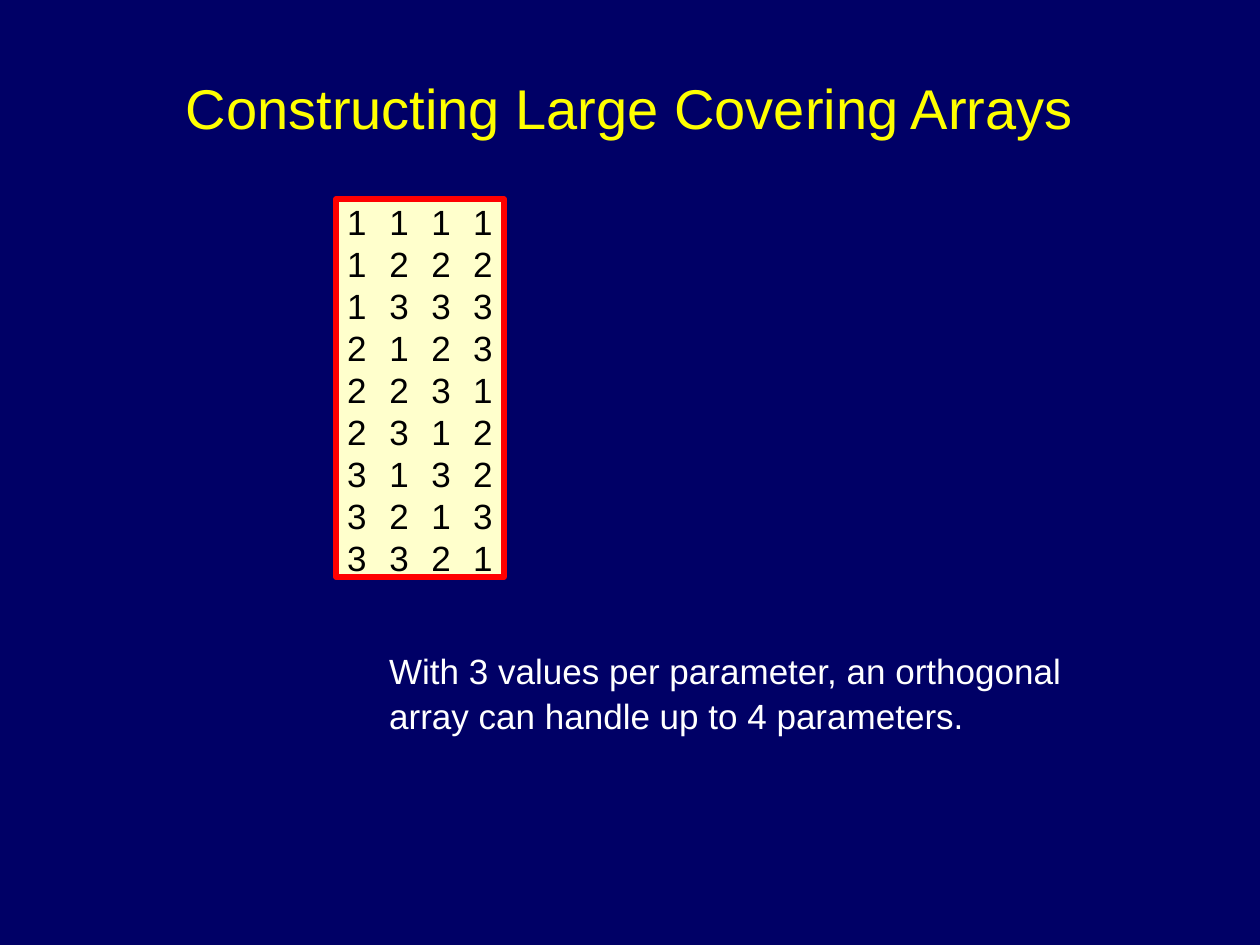
from pptx import Presentation
from pptx.dml.color import RGBColor
from pptx.enum import shapes, text
from pptx.util import Inches, Pt

ROWS = ["1111", "1222", "1333", "2123", "2231", "2312", "3132", "3213", "3321"]
CELL = Inches(1) // 3
LEFT, TOP = CELL * 8, Inches(1.58)


def rgb(value):
    """Turn a hex string into a colour."""
    return RGBColor.from_string(value)


def write(sp, lines, size, color, align, anchor, wrap=False):
    """Write lines of text into a shape."""
    tf = sp.text_frame
    frame = {"text": "\n".join(lines), "word_wrap": wrap, "vertical_anchor": anchor}
    for name, value in frame.items():
        setattr(tf, name, value)
    for p in tf.paragraphs:
        p.alignment, p.line_spacing = align, 1.07
        for name, value in {"name": "Arial", "size": Pt(size)}.items():
            setattr(p.font, name, value)
        p.font.color.rgb = rgb(color)


def add_text(s, box, *style, **options):
    """Add a text box given in inches."""
    write(s.shapes.add_textbox(*map(Inches, box)), *style, **options)


def add_rect(parent, *box):
    """Add a rectangle without shadow."""
    sp = parent.shapes.add_shape(shapes.MSO_SHAPE.RECTANGLE, *box)
    sp.shadow.inherit = False
    return sp


def add_array(s):
    """Add the grouped cells of the orthogonal array."""
    group = s.shapes.add_group_shape()
    for i, row in enumerate(ROWS):
        for j, digit in enumerate(row):
            sp = add_rect(group, LEFT + j * CELL, TOP + i * CELL, CELL, CELL)
            sp.fill.solid()
            sp.fill.fore_color.rgb = rgb("FFFFCC")
            sp.line.fill.background()
            write(sp, [digit], 20, "000000", text.PP_ALIGN.CENTER, text.MSO_ANCHOR.MIDDLE)


def add_frame(s):
    """Outline the whole array."""
    sp = add_rect(s, LEFT, TOP, CELL * len(ROWS[0]), CELL * len(ROWS))
    sp.fill.background()
    sp.line.color.rgb = rgb("FF0000")
    sp.line.width = Pt(3)


def main():
    """Build the slide and save it."""
    prs = Presentation()
    prs.slide_width, prs.slide_height = Inches(10), Inches(7.5)
    s = prs.slides.add_slide(prs.slide_layouts[6])
    s.background.fill.solid()
    s.background.fill.fore_color.rgb = rgb("000066")
    add_text(s, (0.75, 0.21, 8.5, 1.25), ["Constructing Large Covering Arrays"], 32,
             "FFFF00", text.PP_ALIGN.CENTER, text.MSO_ANCHOR.MIDDLE, wrap=True)
    add_array(s)
    add_text(s, (2.99, 5.08, 5.55, 0.77),
             ["With 3 values per parameter, an orthogonal",
              "array can handle up to 4 parameters."],
             20, "FFFFFF", text.PP_ALIGN.LEFT, text.MSO_ANCHOR.TOP)
    add_frame(s)
    prs.save("out.pptx")


if __name__ == "__main__":
    main()
